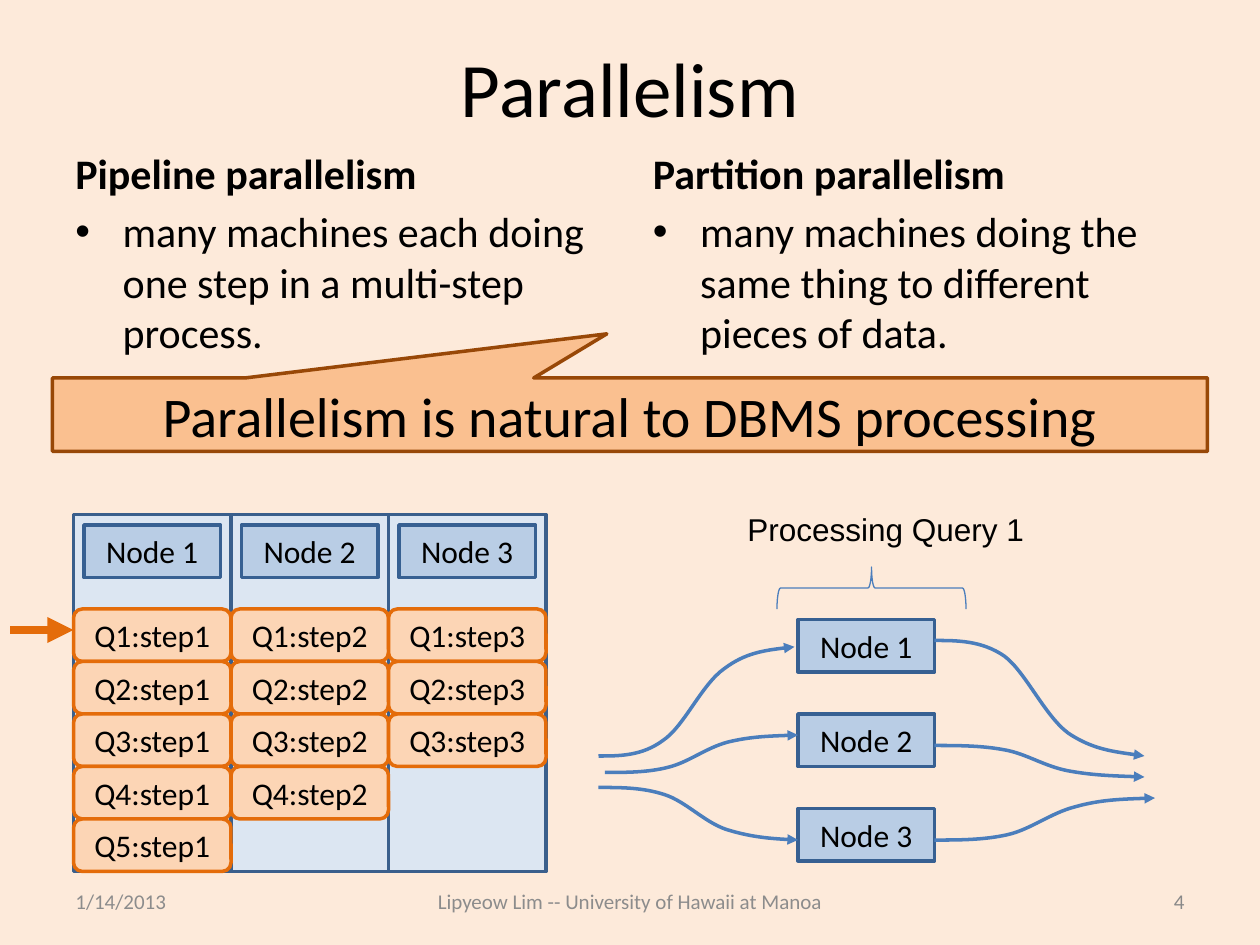
import pptx
import pptx.dml.color
import pptx.enum.shapes
import pptx.enum.text
import pptx.oxml
import pptx.oxml.ns
import pptx.util

Pt = pptx.util.Pt
SHAPE = pptx.enum.shapes.MSO_SHAPE
ALIGN = pptx.enum.text.PP_ALIGN
ANCHOR = pptx.enum.text.MSO_ANCHOR
qn = pptx.oxml.ns.qn

COLORS = {
    "background": "FDEADA", "text": "000000", "footer": "8C8C8C", "number": "898989",
    "column": "DCE6F2", "column_line": "3A5F8C", "node": "B9CDE5", "node_line": "376092",
    "step": "FCD5B5", "step_line": "E46C0A", "flow": "4B7EBC",
    "callout": "FAC090", "callout_line": "984807",
}

FLOWS = [
    [(342, 432), (354, 432), (367, 432), (379, 423), (391, 415), (401, 391),
     (414, 382), (426, 373), (441, 371), (454, 369.6)],
    [(345.6, 441.4), (357.6, 441.4), (370, 441.4), (381.6, 438.5), (393.6, 435.6),
     (403, 427.5), (416, 424), (428.5, 421), (442, 420.5), (456, 420)],
    [(342, 450), (355, 450), (367, 450), (379.5, 454), (392, 458), (402, 469.5),
     (415, 474), (428, 478), (441, 479.5), (456, 480)],
    [(534, 366), (547, 366), (561, 366), (574, 375), (586, 384), (597, 409),
     (610.5, 419), (624, 428), (639, 430), (654, 432)],
    [(534, 426), (547, 426), (561, 426), (574, 428.5), (586, 430.5), (597, 438),
     (610.5, 440.5), (624, 443), (639, 443.5), (654, 444)],
    [(534, 480), (548, 480), (562, 480), (575.5, 477), (589, 474), (600.5, 464.5),
     (614.5, 461), (628.5, 457), (644.5, 456.5), (660, 456)],
]


def rgb(name):
    return pptx.dml.color.RGBColor.from_string(COLORS[name])


def add_child(parent, tag, **attributes):
    child = pptx.oxml.parse_xml(f"<{tag} {pptx.oxml.ns.nsdecls('a')}/>")
    for name, value in attributes.items():
        child.set(name, str(value))
    parent.append(child)
    return child


def style_line(line, color, width):
    line.color.rgb = rgb(color)
    line.width = Pt(width)


def add_arrowhead(line):
    add_child(line._get_or_add_ln(), "a:tailEnd", type="triangle")


def write(shape, text, size, color="text", align=ALIGN.LEFT, anchor=ANCHOR.MIDDLE,
          bold=False, bullet=False, font="Calibri", wrap=True):
    frame = shape.text_frame
    frame.word_wrap = wrap
    frame.vertical_anchor = anchor
    paragraph = frame.paragraphs[0]
    paragraph.alignment = align
    if bullet:
        properties = paragraph._p.get_or_add_pPr()
        properties.set("marL", str(Pt(27)))
        properties.set("indent", str(-Pt(27)))
        add_child(properties, "a:buFont", typeface="Arial")
        add_child(properties, "a:buChar", char="•")
    run = paragraph.add_run()
    run.text = text
    run.font.size = Pt(size)
    run.font.name = font
    run.font.bold = bold
    run.font.color.rgb = rgb(color)


def add_text(slide, box, text, size, **style):
    write(slide.shapes.add_textbox(*map(Pt, box)), text, size, **style)


def add_box(shapes, kind, box, color, text="", size=18):
    shape = shapes.add_shape(kind, *map(Pt, box))
    shape.shadow.inherit = False
    shape.fill.solid()
    shape.fill.fore_color.rgb = rgb(color)
    style_line(shape.line, color + "_line", 2)
    if text:
        write(shape, text, size, align=ALIGN.CENTER)
    return shape


def add_node(shapes, left, top, number):
    add_box(shapes, SHAPE.RECTANGLE, (left, top, 78, 30), "node", f"Node {number}")


def add_flow(shapes, points):
    start, *rest = [(Pt(x), Pt(y)) for x, y in points]
    builder = shapes.build_freeform(*start)
    builder.add_line_segments(rest, close=False)
    shape = builder.convert_to_shape()
    segments = list(shape._element.iter(qn("a:lnTo")))
    for index in range(0, len(segments), 3):
        curve = add_child(segments[index].getparent(), "a:cubicBezTo")
        for segment in segments[index:index + 3]:
            curve.append(segment[0])
            segment.getparent().remove(segment)
    shape.shadow.inherit = False
    shape.fill.background()
    style_line(shape.line, "flow", 2)
    add_arrowhead(shape.line)


def add_pipeline(slide):
    columns = [(1, 42, 5), (2, 132, 4), (3, 222, 3)]
    for number, left, steps in columns:
        add_box(slide.shapes, SHAPE.RECTANGLE, (left, 294, 90, 204), "column")
    for number, left, steps in columns:
        add_node(slide.shapes, left + 6, 300, number)
        for row in range(steps):
            add_box(slide.shapes, SHAPE.ROUNDED_RECTANGLE, (left, 348 + 30 * row, 90, 30),
                    "step", f"Q{row + 1}:step{number}")
    arrow = slide.shapes.add_connector(
        pptx.enum.shapes.MSO_CONNECTOR.STRAIGHT, Pt(6), Pt(360), Pt(42), Pt(360))
    style_line(arrow.line, "step_line", 5)
    add_arrowhead(arrow.line)
    add_child(arrow._element.spPr, "a:effectLst")


def add_partition(slide):
    group = slide.shapes.add_group_shape()
    for index in range(3):
        add_node(group.shapes, 456, 354 + 54 * index, index + 1)
    for points in FLOWS:
        add_flow(group.shapes, points)
    brace = slide.shapes.add_shape(SHAPE.LEFT_BRACE, Pt(486), Pt(282), Pt(24), Pt(108))
    brace.rotation = 90
    brace.shadow.inherit = False
    brace.fill.background()
    style_line(brace.line, "flow", 0.75)
    add_text(slide, (420, 288, 174, 29), "Processing Query 1", 18,
             font="Arial", anchor=ANCHOR.TOP, wrap=False)


def main():
    presentation = pptx.Presentation()
    presentation.slide_width, presentation.slide_height = Pt(720), Pt(540)
    slide = presentation.slides.add_slide(presentation.slide_layouts[6])
    slide.background.fill.solid()
    slide.background.fill.fore_color.rgb = rgb("background")

    add_text(slide, (36, 21.6, 648, 56), "Parallelism", 44, align=ALIGN.CENTER)
    for left, heading, body in [
        (36, "Pipeline parallelism",
         "many machines each doing one step in a multi-step process."),
        (366, "Partition parallelism",
         "many machines doing the same thing to different pieces of data."),
    ]:
        add_text(slide, (left, 66, 318, 50.4), heading, 24, anchor=ANCHOR.BOTTOM, bold=True)
        add_text(slide, (left, 114, 318, 111), body, 24, anchor=ANCHOR.TOP, bullet=True)

    for left, width, text, align, color in [
        (36, 168, "1/14/2013", ALIGN.LEFT, "footer"),
        (216, 288, "Lipyeow Lim -- University of Hawaii at Manoa", ALIGN.CENTER, "footer"),
        (516, 168, "4", ALIGN.RIGHT, "number"),
    ]:
        add_text(slide, (left, 500.5, width, 28.75), text, 12, align=align, color=color)

    add_pipeline(slide)
    add_partition(slide)
    callout = add_box(slide.shapes, SHAPE.RECTANGULAR_CALLOUT, (30, 216, 660, 42),
                      "callout", "Parallelism is natural to DBMS processing", 32)
    callout.adjustments[0] = -0.02
    callout.adjustments[1] = -1.1
    presentation.save("out.pptx")


if __name__ == "__main__":
    main()
